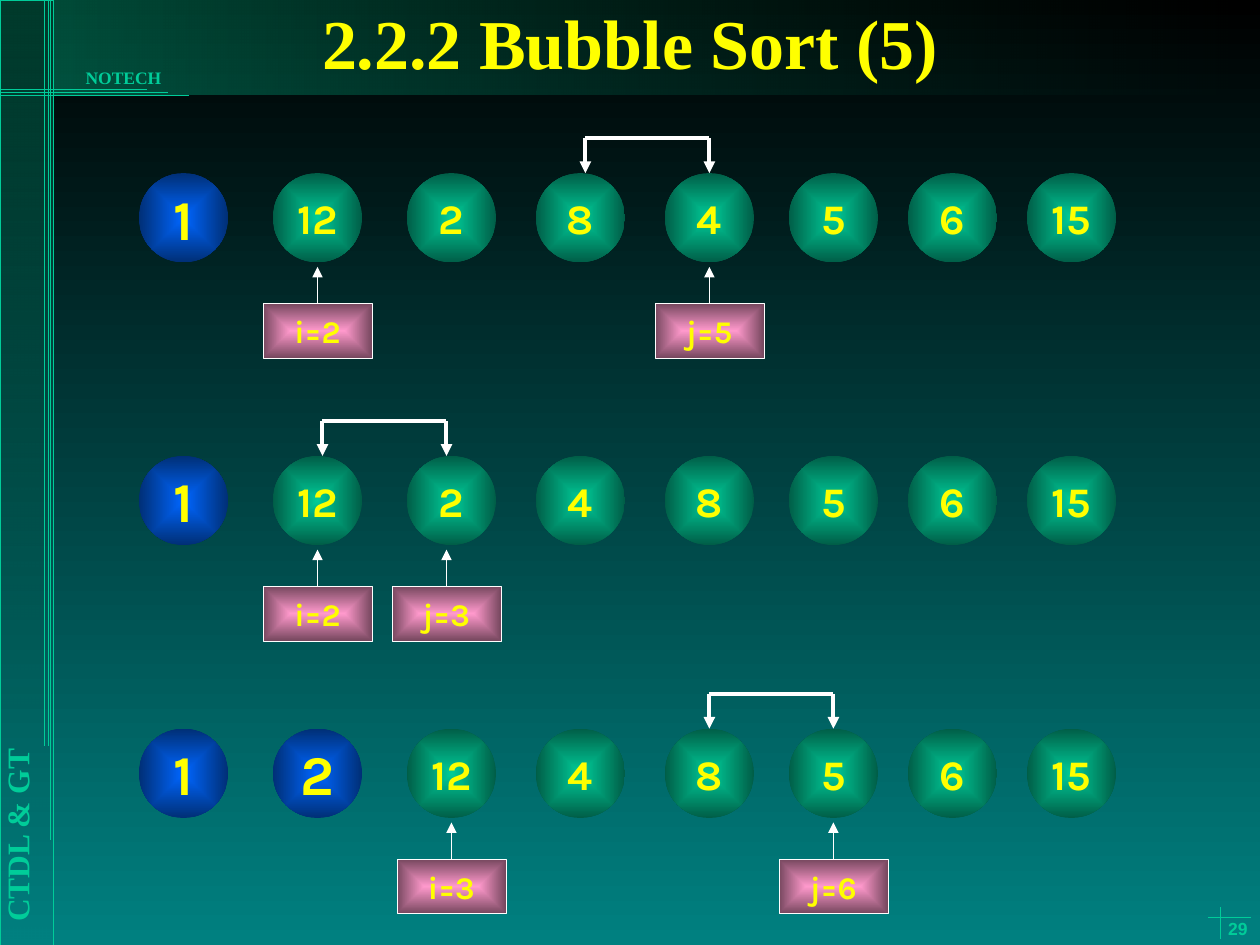
from lxml.etree import SubElement
from pptx import Presentation
from pptx.dml.color import RGBColor
from pptx.enum.shapes import MSO_CONNECTOR, MSO_SHAPE
from pptx.enum.text import MSO_ANCHOR, PP_ALIGN
from pptx.oxml.ns import qn
from pptx.util import Cm, Pt

GREEN, DARK = "00CC99", "005E47"
WHITE, YELLOW = "FFFFFF", "FFFF00"
SERIF, SANS = "Times New Roman", "Karla"

# Centres of the eight columns, in cm
COLS = [3.7, 6.4, 9.1, 11.7, 14.3, 16.8, 19.2, 21.6]
BALL = 1.8
SPAN = 2.5

# Top of row, values, count of sorted ones, start of swap, pointers (text, centre)
ROWS = [
    (3.49, [1, 12, 2, 8, 4, 5, 6, 15], 1, 11.8,
     [("i=2", 6.4), ("j=5", 14.3)]),
    (9.19, [1, 12, 2, 4, 8, 5, 6, 15], 1, 6.5,
     [("i=2", 6.4), ("j=3", 9.0)]),
    (14.69, [1, 2, 12, 4, 8, 5, 6, 15], 2, 14.3,
     [("i=3", 9.1), ("j=6", 16.8)]),
]

# Thin frame lines: x1, y1, x2, y2
FRAME = [
    (0.97, 0, 0.97, 15.04), (1.02, 0, 1.02, 16.94), (0.89, 0, 0.89, 15.04),
    (0, 1.8, 2.97, 1.8), (0, 1.91, 3.81, 1.91), (0, 1.85, 3.38, 1.85),
    (24.36, 18.49, 25.22, 18.49), (24.59, 18.29, 24.59, 18.92),
]


def color(code):
    return RGBColor.from_string(code)


def blend(shape, first, last, angle=None, alpha=None):
    """Two-colour gradient: clockwise angle, or from the centre if None."""
    fill = shape.fill
    fill.gradient()
    fill.gradient_angle = -(angle or 0) % 360
    for stop, code, pos in zip(fill.gradient_stops, (first, last), (0, 1)):
        stop.color.rgb = color(code)
        stop.position = pos
    grad = shape._element.spPr.find(qn("a:gradFill"))
    if alpha:
        for tint, part in zip(grad.iter(qn("a:srgbClr")), alpha):
            SubElement(tint, qn("a:alpha"), val=str(part * 1000))
    if angle is None:
        grad.remove(grad.find(qn("a:lin")))
        core = SubElement(grad, qn("a:path"), path="rect")
        SubElement(core, qn("a:fillToRect"),
                   dict.fromkeys("ltrb", "50000"))


def write(shape, text, size, font=SANS, code=YELLOW, align=PP_ALIGN.CENTER,
          anchor=MSO_ANCHOR.MIDDLE, wrap=False, before=0):
    frame = shape.text_frame
    frame.word_wrap = wrap
    frame.vertical_anchor = anchor
    para = frame.paragraphs[0]
    para.alignment = align
    para.space_before = Pt(before)
    run = para.add_run()
    run.text = text
    run.font.size = Pt(size)
    run.font.name = font
    run.font.bold = True
    run.font.color.rgb = color(code)


def label(slide, box, text, size, **form):
    shape = slide.shapes.add_textbox(*map(Cm, box))
    write(shape, text, size, wrap=True, **form)
    return shape


def block(slide, kind, box, first, last, line=None, **grad):
    shape = slide.shapes.add_shape(kind, *map(Cm, box))
    shape.shadow.inherit = False
    blend(shape, first, last, **grad)
    if line:
        shape.line.color.rgb = color(line)
        shape.line.width = Pt(0.25)
    else:
        shape.line.fill.background()
    return shape


def link(slide, ends, code, width=0.25, arrow=False):
    line = slide.shapes.add_connector(MSO_CONNECTOR.STRAIGHT, *map(Cm, ends))
    line.line.color.rgb = color(code)
    line.line.width = Pt(width)
    if arrow:
        SubElement(line.line._get_or_add_ln(), qn("a:tailEnd"),
                   type="triangle")
    SubElement(line._element.spPr, qn("a:effectLst"))
    return line


def ball(slide, mid, top, value, done):
    tint = ("0066FF", "002F76") if done else (GREEN, DARK)
    shape = block(slide, MSO_SHAPE.OVAL,
                  (mid - BALL / 2, top, BALL, BALL), *tint)
    write(shape, str(value), 32 if done else 24)


def pointer(slide, mid, top, text):
    box = block(slide, MSO_SHAPE.RECTANGLE, (mid - 1.1, top + 2.63, 2.2, 1.1),
                "FF99CC", "76475E", line=WHITE)
    write(box, text, 18)
    line = link(slide, (mid, top + 2.63, mid, top + 1.89), WHITE, arrow=True)
    line.begin_connect(box, 0)


def swap(slide, left, top):
    high = top - 0.7
    link(slide, (left, high, left + SPAN, high), WHITE, 2.25)
    for x in (left, left + SPAN):
        link(slide, (x, high, x, top), WHITE, 2.25, arrow=True)


def frame(slide):
    rect = MSO_SHAPE.RECTANGLE
    block(slide, rect, (0, 0, 25.4, 19.05), "000000", "008080", angle=90)
    block(slide, rect, (0, 0, 1.07, 19.05), GREEN, DARK, line=GREEN,
          angle=90, alpha=(29, 0))
    block(slide, rect, (1.07, 0, 24.33, 1.91), GREEN, DARK,
          angle=0, alpha=(37, 0))
    for ends in FRAME:
        link(slide, ends, GREEN)
    side = label(slide, (-4.95, 13.03, 10.59, 1.02), "CTDL & GT", 18,
                 font=SERIF, code=GREEN, align=PP_ALIGN.LEFT,
                 anchor=MSO_ANCHOR.TOP, before=11.2)
    side.rotation = 270
    label(slide, (0.3, 1.22, 3.2, 0.69), "NOTECH", 10, font=SERIF, code=GREEN,
          align=PP_ALIGN.RIGHT, anchor=MSO_ANCHOR.TOP, before=6.2)
    label(slide, (24.13, 18.62, 1.27, 0.43), "29", 10, font="Arial",
          code=GREEN, align=PP_ALIGN.RIGHT, anchor=MSO_ANCHOR.BOTTOM)


def main():
    deck = Presentation()
    deck.slide_width, deck.slide_height = Cm(25.4), Cm(19.05)
    slide = deck.slides.add_slide(deck.slide_layouts[6])
    slide.background.fill.solid()
    slide.background.fill.fore_color.rgb = color("000000")

    # Frame and title
    frame(slide)
    label(slide, (1.9, -0.38, 21.6, 2.44), "2.2.2 Bubble Sort (5)", 40,
          font=SERIF)

    # Sorting steps
    for top, values, done, left, marks in ROWS:
        for i, (mid, value) in enumerate(zip(COLS, values)):
            ball(slide, mid, top, value, i < done)
        for text, mid in marks:
            pointer(slide, mid, top, text)
        swap(slide, left, top)

    deck.save("out.pptx")


if __name__ == "__main__":
    main()
